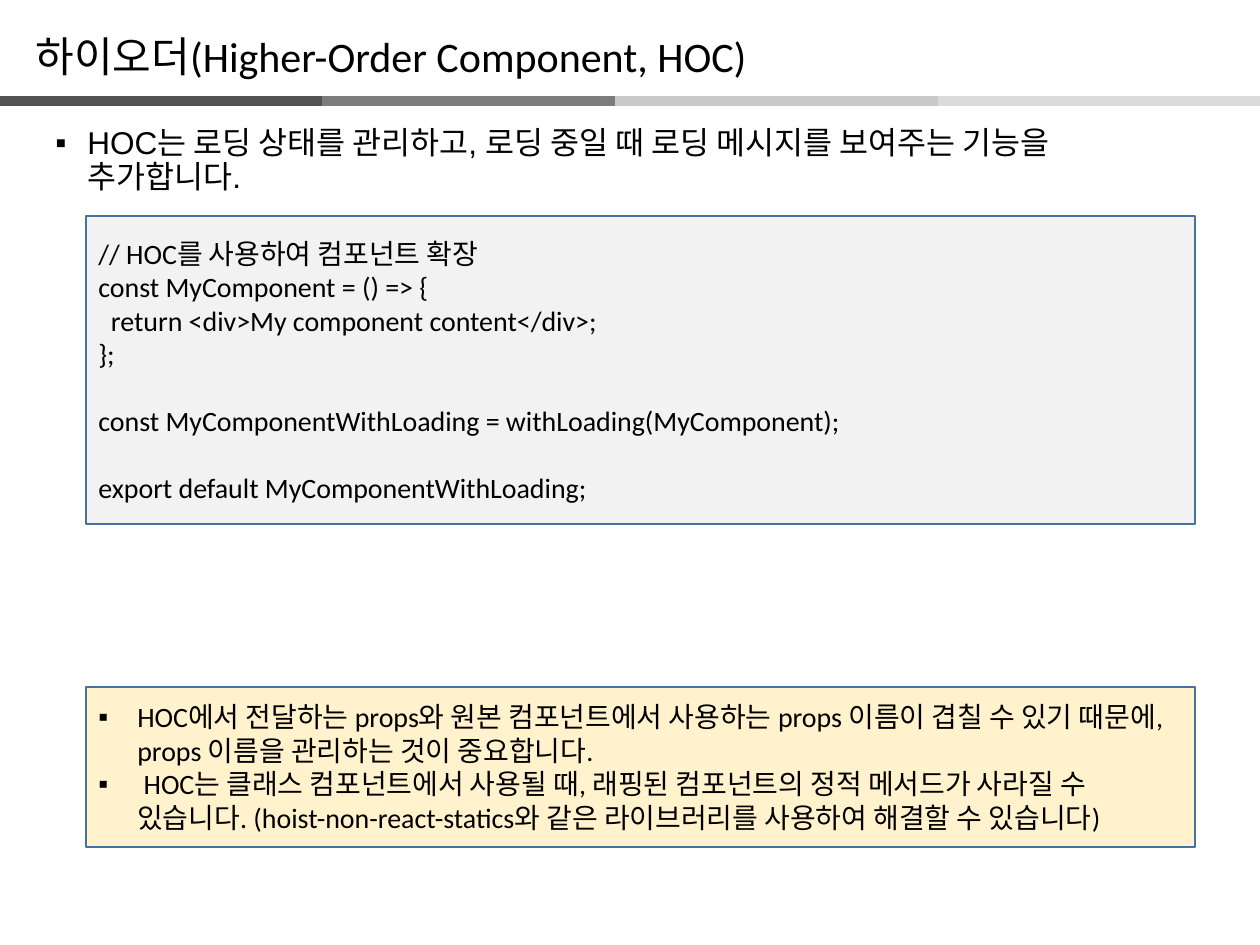
from lxml import etree
from pptx import Presentation
from pptx import util as u
from pptx.dml.color import RGBColor
from pptx.enum import shapes, text
from pptx.oxml.ns import qn

SCALE = 914400 / 126  # EMU per px


def px(*lengths):
    return [u.Emu(round(length * SCALE)) for length in lengths]


def write(box, lines, size, font, bullet_indent=0):
    frame = box.text_frame
    frame.word_wrap = True
    frame.text = "\n".join(lines)
    for para in frame.paragraphs:
        para.alignment = text.PP_ALIGN.LEFT
        for span in para.runs:
            span.font.size = u.Pt(size)
            span.font.name = font
            span.font.color.rgb = RGBColor.from_string("000000")
        if bullet_indent:
            props = para._p.get_or_add_pPr()
            indent = px(bullet_indent)[0]
            props.set("marL", str(indent))
            props.set("indent", str(-indent))
            etree.SubElement(props, qn("a:buFont")).set("typeface", "Arial")
            etree.SubElement(props, qn("a:buChar")).set("char", "▪")
    return frame


deck = Presentation()
deck.slide_width, deck.slide_height = px(1260, 945)
page = deck.slides.add_slide(deck.slide_layouts[5])

# Grey band under the title; the darkest piece lies on top
for start, end, color in [
    (292, 615, "7C7C7C"),
    (615, 938, "C9C9C9"),
    (938, 1260, "DBDBDB"),
    (0, 322, "525252"),
]:
    band = page.shapes.add_connector(
        shapes.MSO_CONNECTOR.STRAIGHT, *px(start, 101, end, 101))
    band.line.color.rgb = RGBColor.from_string(color)
    band.line.width = u.Pt(6)
    etree.SubElement(band._element.spPr, qn("a:effectLst"))

# Title
title = page.shapes.title
title.left, title.top, title.width, title.height = px(23, 24, 999, 63)
frame = write(title, ["하이오더(Higher-Order Component, HOC)"], 24, "Calibri")
frame.auto_size = text.MSO_AUTO_SIZE.NONE
frame.vertical_anchor = text.MSO_ANCHOR.TOP

# Lead sentence
lead = page.shapes.add_textbox(*px(43, 121, 1153, 95))
frame = write(lead, [
    "HOC는 로딩 상태를 관리하고, 로딩 중일 때 로딩 메시지를 보여주는 기능을 추가합니다.",
], 18, "Arial", 32)
frame.paragraphs[0].line_spacing = 0.9
frame.paragraphs[0].space_before = u.Pt(10)

# Code panel and notes panel
code = [
    "// HOC를 사용하여 컴포넌트 확장",
    "const MyComponent = () => {",
    "  return <div>My component content</div>;",
    "};",
    "const MyComponentWithLoading = withLoading(MyComponent);",
    "export default MyComponentWithLoading;",
]
notes = [
    "HOC에서 전달하는 props와 원본 컴포넌트에서 사용하는 props 이름이 겹칠 수 있기 "
    "때문에, props 이름을 관리하는 것이 중요합니다.",
    " HOC는 클래스 컴포넌트에서 사용될 때, 래핑된 컴포넌트의 정적 메서드가 사라질 수 "
    "있습니다. (hoist-non-react-statics와 같은 라이브러리를 사용하여 해결할 수 있습니다)",
]
for top, height, fill, lines, bullet_indent in [
    (216, 308, "F2F2F2", code, 0),
    (687, 160, "FFF2CC", notes, 39),
]:
    panel = page.shapes.add_shape(
        shapes.MSO_SHAPE.RECTANGLE, *px(86, top, 1109, height))
    panel.shadow.inherit = False
    panel.fill.solid()
    panel.fill.fore_color.rgb = RGBColor.from_string(fill)
    panel.line.color.rgb = RGBColor.from_string("43739E")
    panel.line.width = u.Pt(1)
    frame = write(panel, lines, 16, "Calibri", bullet_indent)
    frame.vertical_anchor = text.MSO_ANCHOR.MIDDLE
    if lines is code:
        # One line of space before each of the last two statements
        for para in frame.paragraphs[4:]:
            para.space_before = u.Pt(19)

deck.save("out.pptx")
